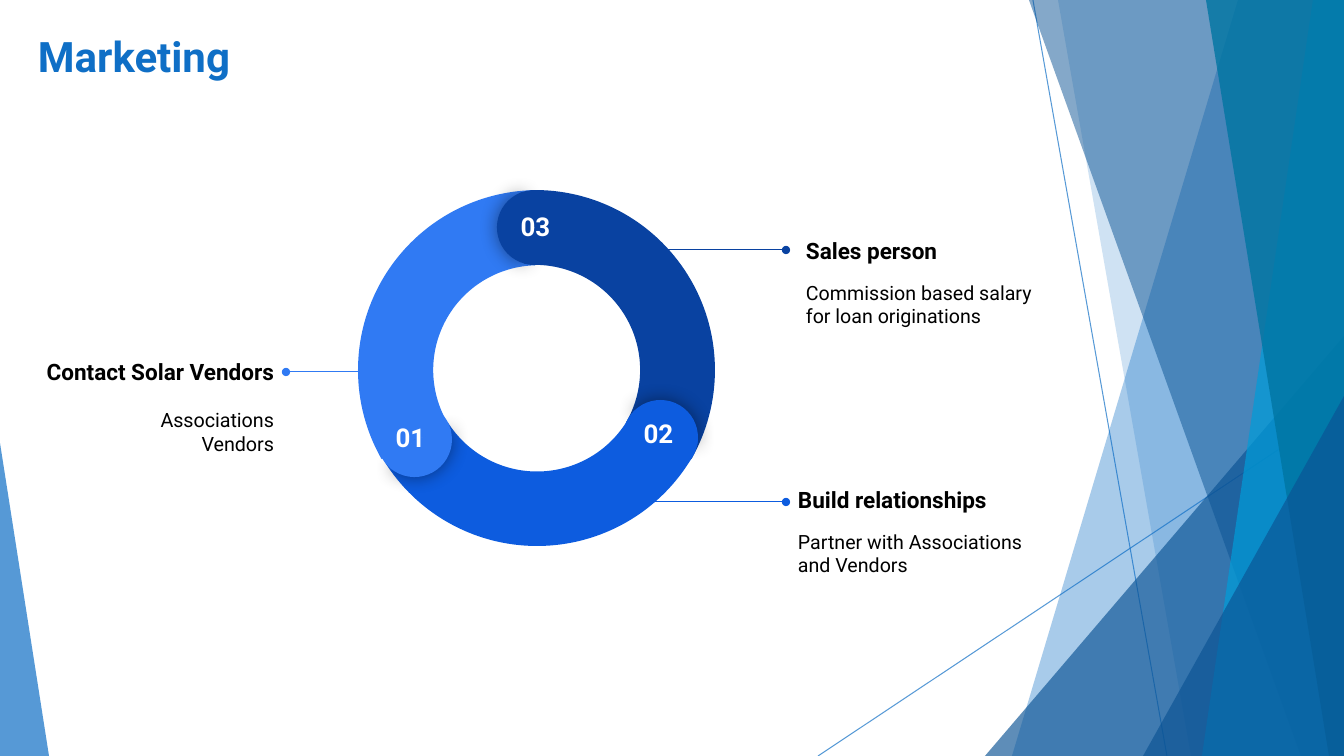
import pptx
import pptx.util
import pptx.oxml
import pptx.dml.color
import pptx.enum.shapes
import pptx.enum.text

SCALE = 914400 / 100.8
WIDE, HIGH = 1344, 756
HUE = {"blue": "0F6FC6", "deep": "0B5394", "sky": "009DD9", "teal": "0075A2",
       "light": "307AF3", "mid": "0D5CDF", "dark": "0942A1",
       "black": "000000", "white": "FFFFFF"}
KIND = pptx.enum.shapes.MSO_SHAPE
ALIGN = pptx.enum.text.PP_ALIGN
ANCHOR = pptx.enum.text.MSO_ANCHOR
NS = 'xmlns:a="http://schemas.openxmlformats.org/drawingml/2006/main"'


def px(*vals):
    return [pptx.util.Emu(round(v * SCALE)) for v in vals]


def paint(fill, hue, solid=100):
    fill.solid()
    fill.fore_color.rgb = pptx.dml.color.RGBColor.from_string(HUE[hue])
    if solid < 100:
        tint = fill._xPr.find(".//" + pptx.oxml.ns.qn("a:srgbClr"))
        tint.append(pptx.oxml.parse_xml(f'<a:alpha {NS} val="{solid * 1000}"/>'))


deck = pptx.Presentation()
deck.slide_width, deck.slide_height = px(WIDE, HIGH)
slide = deck.slides.add_slide(deck.slide_layouts[6])
shapes = slide.shapes

# Thin background lines and callout lines with a dot
for ends, hue, solid, dot in [
    ((1033, 0, 1167, HIGH), "blue", 70, False),
    ((WIDE, 406, 818, HIGH), "blue", 70, False),
    ((369, 372, 286, 372), "light", 100, True),
    ((620, 250, 786, 250), "dark", 100, True),
    ((620, 502, 786, 502), "mid", 100, True),
]:
    line = shapes.add_connector(pptx.enum.shapes.MSO_CONNECTOR.STRAIGHT, *px(*ends))
    line.line.width = pptx.util.Pt(0.75)
    paint(line.line.fill, hue, solid)
    if dot:
        line.line._ln.append(pptx.oxml.parse_xml(f'<a:tailEnd {NS} type="oval"/>'))
    line._element.spPr.append(pptx.oxml.parse_xml(f"<a:effectLst {NS}/>"))

# Background shards: bands run to the right edge, triangles to the bottom
for kind, geo, hue, solid in [
    ("band", (1238, 1012), "blue", 36),
    ("band", (1058, 1191), "blue", 20),
    ("tri", (985, 336, 359, 1), "deep", 66),
    ("band", (1029, 1301), "deep", 50),
    ("band", (1313, 1202), "sky", 70),
    ("band", (1206, 1329), "teal", 80),
    ("tri", (1143, 396, 201, 1), "deep", 66),
    ("tri", (0, 443, 49, 0), "blue", 70),
]:
    if kind == "band":
        top, base = geo
        path = shapes.build_freeform(top, 0, scale=SCALE)
        path.add_line_segments([(WIDE, 0), (WIDE, HIGH), (base, HIGH)], close=True)
        shard = path.convert_to_shape()
    else:
        left, top, width, tip = geo
        shard = shapes.add_shape(KIND.ISOSCELES_TRIANGLE,
                                 *px(left, top, width, HIGH - top))
        shard.adjustments[0] = tip
    shard.shadow.inherit = False
    shard.line.fill.background()
    paint(shard.fill, hue, solid)

# Ring: three arcs, then a round cap of two pies for each
FRONT, BACK = (61.904, 149.962), (40.283, 171.837)
parts = [
    (KIND.BLOCK_ARC, 355, 190, 360, 60, (126.225, 197.816, 0.208), "dark"),
    (KIND.BLOCK_ARC, 357, 186, 360, 180, (126.225, 196.628, 0.207), "mid"),
    (KIND.BLOCK_ARC, 358, 190, 360, 300, (126.225, 197.033, 0.209), "light"),
]
for left, top, turn, hue in [(377, 402, 240, "light"), (497, 190, 0, "dark"),
                             (623, 400, 120, "mid")]:
    parts.append((KIND.PIE, left, top, 75, turn + 0.7, FRONT, hue))
    parts.append((KIND.PIE, left, top, 75, (turn + 180) % 360, BACK, hue))

for kind, left, top, size, turn, adjs, hue in parts:
    part = shapes.add_shape(kind, *px(left, top, size, size))
    part.rotation = turn
    for i, adj in enumerate(adjs):
        part.adjustments[i] = adj
    part.line.fill.background()
    paint(part.fill, hue)
    part.shadow.inherit = False
    if adjs == FRONT:
        glow = part._element.spPr.find(pptx.oxml.ns.qn("a:effectLst"))
        glow.append(pptx.oxml.parse_xml(
            f'<a:outerShdw {NS} blurRad="{pptx.util.Pt(13.2)}" dist="0" dir="0" '
            'algn="ctr" rotWithShape="0"><a:srgbClr val="000000">'
            '<a:alpha val="43000"/></a:srgbClr></a:outerShdw>'))

# Texts: box, inset, anchor, alignment, colour, (text, size, bold, space before)
texts = [
    ((28, 31, 818, 83), (10, 5), ANCHOR.TOP, ALIGN.LEFT, "blue",
     [("Marketing", 30, True, 0)]),
    ((11, 323, 275, 167), (12, 12), ANCHOR.MIDDLE, ALIGN.RIGHT, "black",
     [("Contact Solar Vendors", 16.1, True, 0),
      ("Associations", 14.1, False, 16.5), ("Vendors", 14.1, False, 0)]),
]
for left, top, head, body in [
    (794, 199, "Sales person", "Commission based salary for loan originations"),
    (786, 448, "Build relationships", "Partner with Associations and Vendors"),
]:
    texts.append(((left, top, 275, 167), (12, 12), ANCHOR.MIDDLE, ALIGN.LEFT, "black",
                  [(head, 16.1, True, 0), (body, 14, False, 11.4)]))
for left, top, num in [(503, 199, "03"), (378, 410, "01"), (626, 406, "02")]:
    texts.append(((left, top, 65, 34), (12, 12), ANCHOR.TOP, ALIGN.CENTER, "white",
                  [(num, 18.5, True, 0)]))

for box, inset, anchor, align, hue, rows in texts:
    frame = shapes.add_textbox(*px(*box)).text_frame
    side, edge = px(*inset)
    form = {"word_wrap": True, "vertical_anchor": anchor, "margin_left": side,
            "margin_right": side, "margin_top": edge, "margin_bottom": edge}
    for key, val in form.items():
        setattr(frame, key, val)
    for i, (text, size, bold, gap) in enumerate(rows):
        para = frame.add_paragraph() if i else frame.paragraphs[0]
        para.alignment = align
        if gap:
            para.space_before = pptx.util.Pt(gap)
        if text == "Marketing":
            para.line_spacing = 0.9
        run = para.add_run()
        run.text = text
        style = {"name": "Roboto", "size": pptx.util.Pt(size), "bold": bold}
        for key, val in style.items():
            setattr(run.font, key, val)
        paint(run.font.fill, hue)

deck.save("out.pptx")
